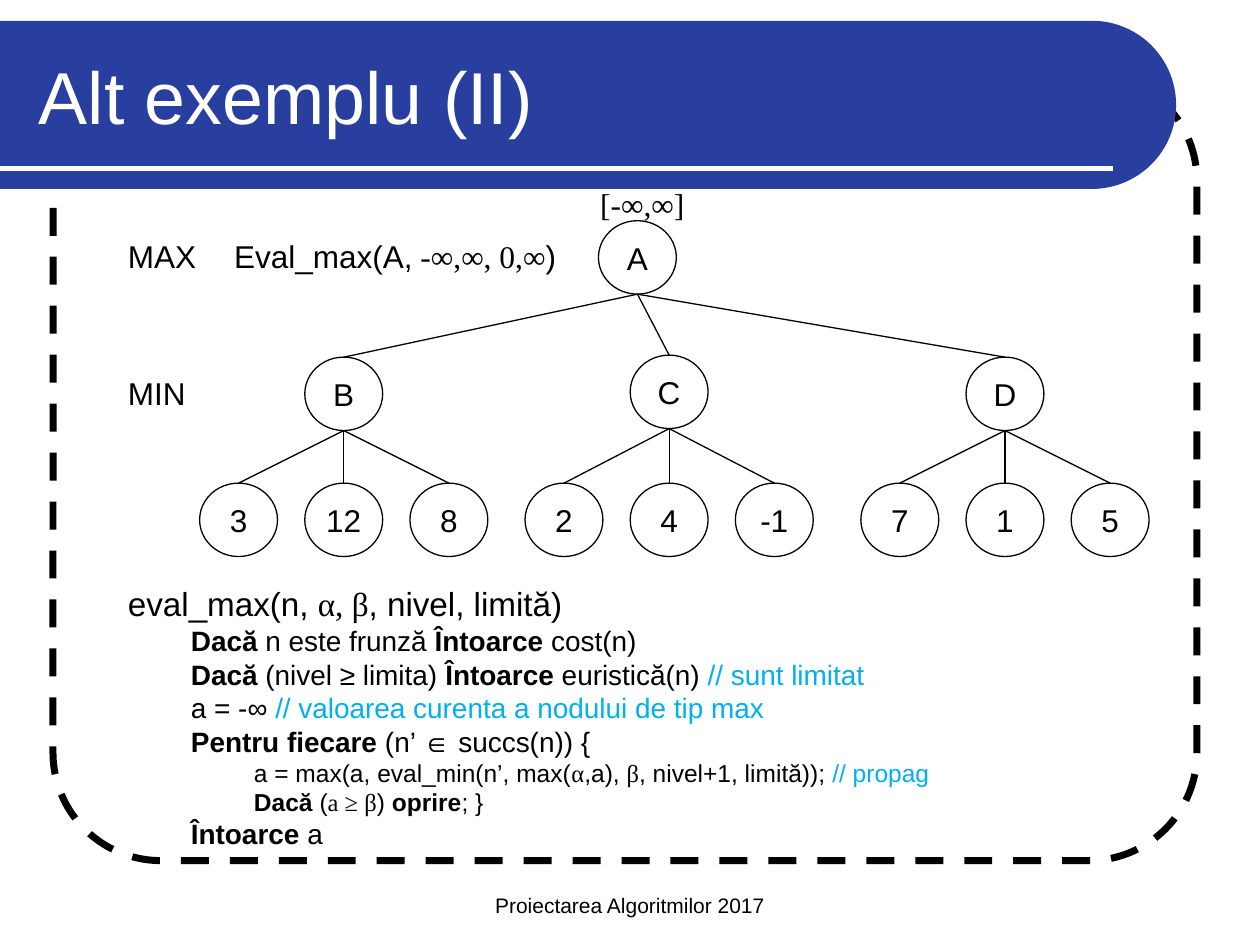
import math
from dataclasses import dataclass

from lxml import etree
from pptx import Presentation
from pptx import util as u
from pptx.dml.color import RGBColor
from pptx.enum import dml, shapes, text
from pptx.oxml.ns import qn


@dataclass(frozen=True)
class Theme:
    ink: str = "000000"
    paper: str = "FFFFFF"
    banner: str = "283FA0"
    comment: str = "00B0F0"
    sans: str = "Arial"
    serif: str = "Times New Roman"
    title: int = 42
    label: int = 18
    footer: int = 12
    code: tuple = (19, 16, 14)  # one size per indent level


THEME = Theme()
INDENT = 1.27
NODE_W, NODE_H = 1.57, 1.48
LEAF_TOP, LEAF_GAP = 9.74, 2.12

PLAIN = {}
KEYWORD = {"bold": True}
SERIF = {"font": THEME.serif}
COMMENT = {"color": THEME.comment}

ROOT = ("A", 12.85, 4.45)
BRANCHES = [
    (("B", 6.93, 7.2), ("3", "12", "8")),
    (("C", 13.49, 7.16), ("2", "4", "-1")),
    (("D", 20.26, 7.2), ("7", "1", "5")),
]

EVAL_MAX = [
    (0, [("eval_max(n, ", PLAIN), ("α, β", SERIF), (", nivel, limită)", PLAIN)]),
    (1, [("Dacă", KEYWORD), (" n este frunză ", PLAIN),
         ("Întoarce ", KEYWORD), ("cost(n)", PLAIN)]),
    (1, [("Dacă", KEYWORD), (" (nivel ≥ limita) ", PLAIN), ("Întoarce ", KEYWORD),
         ("euristică(n) ", PLAIN), ("// sunt limitat", COMMENT)]),
    (1, [("a = -∞ ", PLAIN), ("// valoarea curenta a nodului de tip max", COMMENT)]),
    (1, [("Pentru fiecare ", KEYWORD), ("(n’ ∈ succs(n)) {", PLAIN)]),
    (2, [("a = max(a, eval_min(n’, max(", PLAIN), ("α", SERIF), (",a), ", PLAIN),
         ("β", SERIF), (", nivel+1, limită)); ", PLAIN), ("// propag", COMMENT)]),
    (2, [("Dacă ", KEYWORD), ("(", PLAIN), ("a ≥ β", SERIF), (") ", PLAIN),
         ("oprire", KEYWORD), ("; }", PLAIN)]),
    (1, [("Întoarce ", KEYWORD), ("a", PLAIN)]),
]


def add_text(paragraph, content, size=THEME.label, font=THEME.sans,
             color=THEME.ink, bold=False):
    run = paragraph.add_run()
    run.text = content
    run.font.size = u.Pt(size)
    run.font.name = font
    run.font.bold = bold
    run.font.color.rgb = RGBColor.from_string(color)


class SlideBuilder:
    def __init__(self, slide, theme):
        self.slide = slide
        self.theme = theme

    def style(self, shape, fill=None, line=None, width=0.75):
        shape.shadow.inherit = False
        if fill:
            shape.fill.solid()
            shape.fill.fore_color.rgb = RGBColor.from_string(fill)
        else:
            shape.fill.background()
        if line:
            shape.line.color.rgb = RGBColor.from_string(line)
            shape.line.width = u.Pt(width)
        else:
            shape.line.fill.background()

    def frame(self, *box):
        border = self.slide.shapes.add_shape(
            shapes.MSO_SHAPE.ROUNDED_RECTANGLE, *map(u.Cm, box))
        border.adjustments[0] = 0.137
        self.style(border, line=self.theme.ink, width=4)
        border.line.dash_style = dml.MSO_LINE.DASH

    def banner(self, top, right, height, steps=48):
        """Bar from the left slide edge with a half-round right end."""
        radius = height / 2
        angles = [math.pi * (i / steps - 0.5) for i in range(steps + 1)]
        arc = [(u.Cm(right - radius + radius * math.cos(a)),
                u.Cm(top + radius + radius * math.sin(a))) for a in angles]
        outline = self.slide.shapes.build_freeform(0, u.Cm(top))
        outline.add_line_segments(arc + [(0, u.Cm(top + height))], close=True)
        self.style(outline.convert_to_shape(), fill=self.theme.banner)

    def line(self, start, end, color=THEME.ink, width=0.75):
        connector = self.slide.shapes.add_connector(
            shapes.MSO_CONNECTOR.STRAIGHT, *map(u.Cm, (*start, *end)))
        connector.line.color.rgb = RGBColor.from_string(color)
        connector.line.width = u.Pt(width)
        etree.SubElement(connector.element.spPr, qn("a:effectLst"))

    def title(self, content, *box):
        heading = self.slide.shapes.title
        heading.left, heading.top, heading.width, heading.height = map(u.Cm, box)
        heading.text_frame.vertical_anchor = text.MSO_ANCHOR.MIDDLE
        paragraph = heading.text_frame.paragraphs[0]
        paragraph.alignment = text.PP_ALIGN.LEFT
        add_text(paragraph, content, size=self.theme.title, color=self.theme.paper)
        heading.element.getparent().append(heading.element)  # above the banner

    def node(self, name, center, top):
        circle = self.slide.shapes.add_shape(
            shapes.MSO_SHAPE.OVAL,
            *map(u.Cm, (center - NODE_W / 2, top, NODE_W, NODE_H)))
        self.style(circle, line=self.theme.ink)
        frame = circle.text_frame
        frame.margin_left = frame.margin_right = 0
        frame.margin_top = frame.margin_bottom = 0
        frame.word_wrap = False
        frame.vertical_anchor = text.MSO_ANCHOR.MIDDLE
        frame.paragraphs[0].alignment = text.PP_ALIGN.CENTER
        add_text(frame.paragraphs[0], name)

    def branch(self, parent, child):
        """Edge from the bottom of one node to the top of another."""
        self.line((parent[1], parent[2] + NODE_H), child[1:])

    def text_box(self, box, runs, wrap=False):
        frame = self.slide.shapes.add_textbox(*map(u.Cm, box)).text_frame
        frame.word_wrap = wrap
        for content, look in runs:
            add_text(frame.paragraphs[0], content, **look)
        return frame

    def footer(self, content, *box):
        frame = self.text_box(box, [(content, {"size": self.theme.footer})], wrap=True)
        frame.vertical_anchor = text.MSO_ANCHOR.BOTTOM
        frame.paragraphs[0].alignment = text.PP_ALIGN.CENTER

    def pseudocode(self, lines, *box):
        frame = self.text_box(box, [], wrap=True)
        for number, (level, runs) in enumerate(lines):
            paragraph = frame.add_paragraph() if number else frame.paragraphs[0]
            paragraph.level = level
            indent = paragraph._p.get_or_add_pPr()
            indent.set("marL", str(u.Cm(INDENT * level)))
            indent.set("indent", "0")
            for content, look in runs:
                add_text(paragraph, content, size=self.theme.code[level], **look)


def draw_tree(builder):
    builder.node(*ROOT)
    for parent, values in BRANCHES:
        builder.branch(ROOT, parent)
        builder.node(*parent)
        for position, value in enumerate(values, start=-1):
            leaf = (value, parent[1] + position * LEAF_GAP, LEAF_TOP)
            builder.branch(parent, leaf)
            builder.node(*leaf)


def main():
    deck = Presentation()
    deck.slide_width, deck.slide_height = u.Cm(25.4), u.Cm(19.05)
    builder = SlideBuilder(deck.slides.add_slide(deck.slide_layouts[5]), THEME)

    builder.frame(1.07, 1.47, 23.06, 15.88)
    builder.banner(top=0.42, right=23.71, height=3.39)
    builder.line((0, 3.39), (22.43, 3.39), THEME.paper, 3)
    builder.footer("Proiectarea Algoritmilor 2017", 8.68, 17.36, 8.04, 1.27)
    builder.title("Alt exemplu (II)", 0.53, 0.64, 22.28, 2.54)

    draw_tree(builder)
    builder.text_box((2.33, 4.66, 1.88, 1.02), [("MAX", PLAIN)])
    builder.text_box((2.33, 7.41, 1.68, 1.02), [("MIN", PLAIN)])
    builder.text_box((11.85, 3.6, 3.18, 1.02), [("[-∞,∞]", SERIF)], wrap=True)
    builder.text_box((4.47, 4.66, 7.19, 1.02),
                     [("Eval_max(A,", PLAIN), (" -∞,∞, 0,∞", SERIF), (")", PLAIN)])
    builder.pseudocode(EVAL_MAX, 2.33, 11.64, 20.73, 5.72)

    deck.save("out.pptx")


if __name__ == "__main__":
    main()
